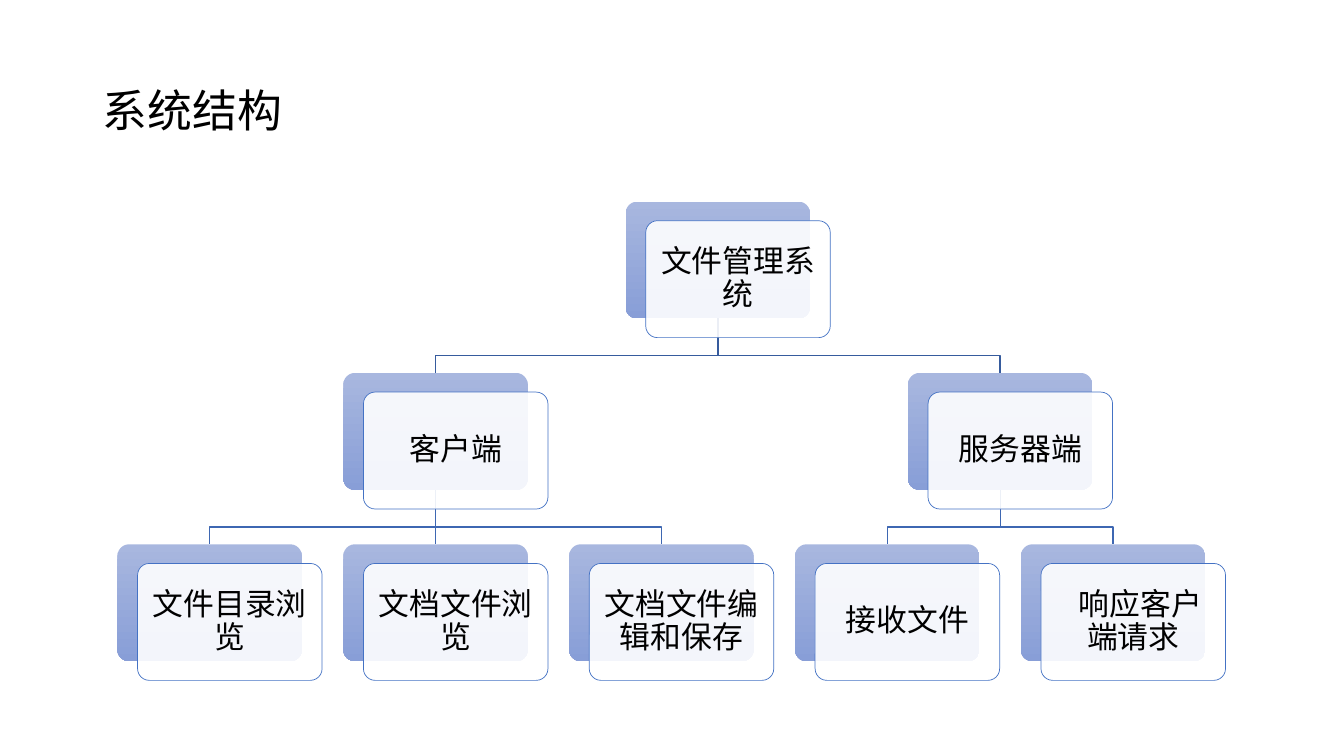
from lxml.etree import SubElement
from pptx import Presentation
from pptx.dml.color import RGBColor
from pptx.enum.shapes import MSO_CONNECTOR, MSO_SHAPE
from pptx.enum.text import MSO_ANCHOR, PP_ALIGN
from pptx.oxml.ns import qn
from pptx.util import Inches, Pt

FONT = "Noto Sans CJK SC"
CARD_W, CARD_H = 1.83, 1.16
OFFSET_X, OFFSET_Y = 0.2, 0.19
FIRST_CENTER, PITCH = 2.08, 2.24
LEVEL_TOPS = [2.0, 3.7, 5.4]
BRANCH_COLORS = ["365B9D", "3E67B2"]
BRANCH_RISE = 0.17

SYSTEM = "文件管理系统"
SIDES = [
    ("客户端", ["文件目录浏览", "文档文件浏览", "文档文件编辑和保存"]),
    ("服务器端", ["接收文件", "响应客户端请求"]),
]
INDENTS = {"响应客户端请求": 0.14}


def rgb(hex_color):
    """Turn a hex string into a colour."""
    return RGBColor.from_string(hex_color)


def write(shape, text, size, align=PP_ALIGN.LEFT, inset=0.1, indent=0):
    """Put one formatted paragraph into a shape, centred vertically."""
    frame = shape.text_frame
    frame.word_wrap = True
    frame.vertical_anchor = MSO_ANCHOR.MIDDLE
    frame.margin_left = frame.margin_right = Inches(inset)
    frame.margin_top = frame.margin_bottom = Inches(min(inset, 0.09))
    paragraph = frame.paragraphs[0]
    paragraph.alignment = align
    paragraph.line_spacing = 0.9
    if indent:
        paragraph._p.get_or_add_pPr().set("indent", str(Inches(indent)))
    run = paragraph.add_run()
    run.text = text
    run.font.size = Pt(size)
    run.font.name = FONT
    run.font.color.rgb = rgb("000000")
    SubElement(run._r.get_or_add_rPr(), qn("a:ea")).set("typeface", FONT)


prs = Presentation()
prs.slide_width, prs.slide_height = Inches(13.33), Inches(7.5)
shapes = prs.slides.add_slide(prs.slide_layouts[6]).shapes

title = shapes.add_textbox(Inches(0.92), Inches(0.4), Inches(11.5), Inches(1.45))
write(title, "系统结构", 32)

# Leaves sit on an even grid; every parent is centred over its children.
cards, branches, side_centers = [], [], []
leaf_count = 0
for side, leaves in SIDES:
    centers = [FIRST_CENTER + PITCH * (leaf_count + i) for i in range(len(leaves))]
    leaf_count += len(leaves)
    side_center = (centers[0] + centers[-1]) / 2
    side_centers.append(side_center)
    cards.append((side, side_center, 1))
    cards += [(leaf, center, 2) for leaf, center in zip(leaves, centers)]
    branches += [(side_center, center, 1) for center in centers]
system_center = sum(side_centers) / len(side_centers)
cards.insert(0, (SYSTEM, system_center, 0))
branches += [(system_center, center, 0) for center in side_centers]

for parent_x, child_x, level in branches:
    start_y, end_y = LEVEL_TOPS[level] + CARD_H, LEVEL_TOPS[level + 1]
    if abs(parent_x - child_x) < 0.01:
        branch = shapes.add_connector(
            MSO_CONNECTOR.STRAIGHT,
            Inches(parent_x), Inches(start_y), Inches(child_x), Inches(end_y))
        SubElement(branch._element.spPr, qn("a:effectLst"))
    else:
        bend_y = end_y - BRANCH_RISE
        outline = shapes.build_freeform(Inches(parent_x), Inches(start_y))
        outline.add_line_segments(
            [(Inches(x), Inches(y)) for x, y in
             [(parent_x, bend_y), (child_x, bend_y), (child_x, end_y)]],
            close=False)
        branch = outline.convert_to_shape()
        branch.fill.background()
        branch.shadow.inherit = False
    branch.line.color.rgb = rgb(BRANCH_COLORS[level])
    branch.line.width = Pt(1)

for label, center, level in cards:
    left, top = center - CARD_W / 2, LEVEL_TOPS[level]
    back, front = [
        shapes.add_shape(MSO_SHAPE.ROUNDED_RECTANGLE, Inches(left + dx),
                         Inches(top + dy), Inches(CARD_W), Inches(CARD_H))
        for dx, dy in [(0, 0), (OFFSET_X, OFFSET_Y)]]
    for panel in (back, front):
        panel.adjustments[0] = 0.1
        panel.shadow.inherit = False

    back.fill.gradient()
    back.fill.gradient_angle = 270
    for stop, color in zip(back.fill.gradient_stops, ["A8B7DF", "889ED7"]):
        stop.color.rgb = rgb(color)
    back.line.fill.background()

    front.fill.solid()
    front.fill.fore_color.rgb = rgb("FFFFFF")
    white = front._element.spPr.find(qn("a:solidFill")).find(qn("a:srgbClr"))
    SubElement(white, qn("a:alpha")).set("val", "90000")
    front.line.color.rgb = rgb("4472C4")
    front.line.width = Pt(0.5)
    write(front, label, 22, align=PP_ALIGN.CENTER, inset=0.09,
          indent=INDENTS.get(label, 0))

prs.save("out.pptx")
